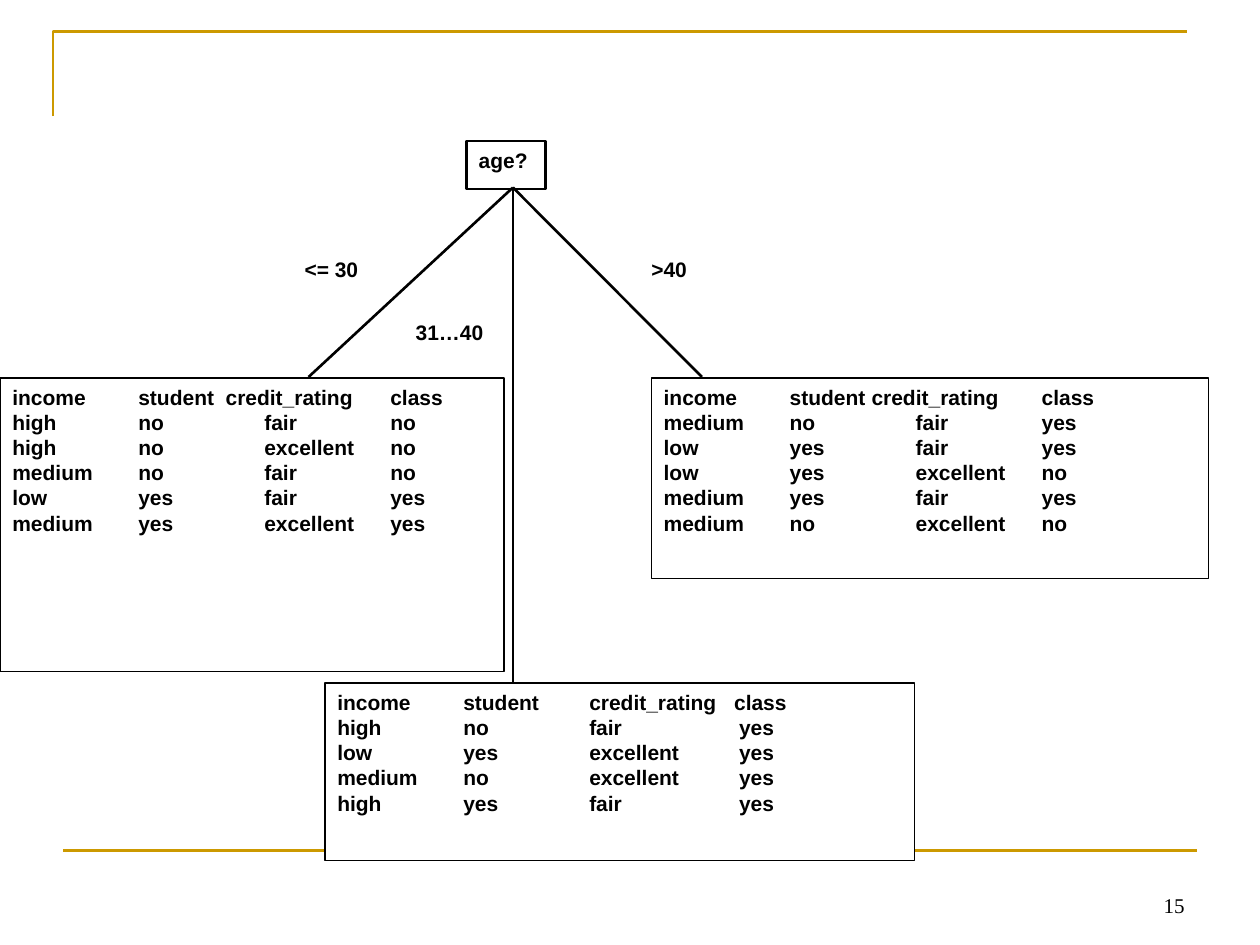
from lxml import etree
from pptx import Presentation
from pptx import util as u
from pptx.dml.color import RGBColor
from pptx.enum import shapes, text
from pptx.oxml.ns import qn

COLORS = {"gold": "CC9900", "ink": "000000", "paper": "FFFFFF"}
COLUMNS = (2.54, 5.08, 7.62)


class TreeSlide:
    font = "Arial"
    size = u.Pt(12)
    row_pitch = u.Pt(14.4)

    def __init__(self, deck):
        self.page = deck.slides.add_slide(deck.slide_layouts[6])

    def color(self, name):
        return RGBColor.from_string(COLORS[name])

    def outline(self, line, color, width):
        line.color.rgb = self.color(color)
        line.width = u.Pt(width)

    def style(self, para, font=None, bold=True):
        for span in para.runs:
            span.font.name = font or self.font
            span.font.size = self.size
            span.font.bold = bold
            span.font.color.rgb = self.color("ink")

    def line(self, start, end, color="ink", width=1.5):
        ends = [u.Cm(value) for value in (*start, *end)]
        rule = self.page.shapes.add_connector(shapes.MSO_CONNECTOR.STRAIGHT, *ends)
        self.outline(rule.line, color, width)
        etree.SubElement(rule._element.spPr, qn("a:effectLst"))

    def corner(self, points):
        start, *others = [(u.Cm(x), u.Cm(y)) for x, y in points]
        builder = self.page.shapes.build_freeform(*start)
        builder.add_line_segments(others, close=False)
        frame = builder.convert_to_shape()
        frame.shadow.inherit = False
        frame.fill.background()
        self.outline(frame.line, "gold", 1.5)

    def box(self, place, words, width=None):
        box = self.page.shapes.add_shape(
            shapes.MSO_SHAPE.RECTANGLE, *[u.Cm(value) for value in place])
        box.shadow.inherit = False
        box.fill.solid()
        box.fill.fore_color.rgb = self.color("paper")
        if width:
            self.outline(box.line, "ink", width)
        else:
            box.line.fill.background()
        frame = box.text_frame
        frame.word_wrap = True
        frame.vertical_anchor = text.MSO_ANCHOR.TOP
        frame.text = words
        for para in frame.paragraphs:
            para.alignment = text.PP_ALIGN.LEFT
            self.style(para)
        return box

    def records(self, place, rows, header_stops, row_stops=COLUMNS):
        words = "\n".join("\t".join(row.split()) for row in rows)
        box = self.box(place, words, 0.75)
        for index, para in enumerate(box.text_frame.paragraphs):
            para.line_spacing = self.row_pitch
            tabs = etree.SubElement(para._p.get_or_add_pPr(), qn("a:tabLst"))
            for stop in row_stops if index else header_stops:
                etree.SubElement(tabs, qn("a:tab"), pos=str(u.Cm(stop)), algn="l")

    def number(self, place, words):
        box = self.page.shapes.add_textbox(*[u.Cm(value) for value in place])
        frame = box.text_frame
        frame.word_wrap = True
        frame.vertical_anchor = text.MSO_ANCHOR.BOTTOM
        frame.text = words
        para = frame.paragraphs[0]
        para.alignment = text.PP_ALIGN.RIGHT
        self.style(para, "Times New Roman", False)


def main():
    deck = Presentation()
    deck.slide_width, deck.slide_height = u.Cm(25.4), u.Cm(19.05)
    slide = TreeSlide(deck)

    slide.corner([(1.07, 2.34), (1.07, 0.64), (23.93, 0.64)])
    slide.line((1.27, 17.15), (24.13, 17.15), "gold")

    slide.box((9.4, 2.84, 1.6, 0.97), "age?", 1.5)
    root = (10.34, 3.78)
    for branch_end in ((10.34, 11.1), (6.22, 7.6), (14.15, 7.6)):
        slide.line(root, branch_end)
    for left, top, label in ((5.89, 5.05, "<= 30"), (12.88, 5.05, ">40"),
                             (8.13, 6.32, "31…40")):
        slide.box((left, top, 1.9, 0.97), label)

    header = "income student credit_rating class"
    slide.records((0, 7.62, 10.16, 5.92), [
        header,
        "high no fair no",
        "high no excellent no",
        "medium no fair no",
        "low yes fair yes",
        "medium yes excellent yes",
    ], (2.54, 4.3, 7.62))
    slide.records((6.55, 13.77, 11.89, 3.58), [
        header,
        "high no fair yes",
        "low yes excellent yes",
        "medium no excellent yes",
        "high yes fair yes",
    ], (2.54, 5.08, 8), (2.54, 5.08, 8.1))
    slide.records((13.13, 7.62, 11.23, 4.04), [
        header,
        "medium no fair yes",
        "low yes fair yes",
        "low yes excellent no",
        "medium yes fair yes",
        "medium no excellent no",
    ], (2.54, 4.19, 7.62))

    slide.line((10.34, 11), (10.34, 13.77), width=0.75)
    slide.number((18.21, 17.35, 5.92, 1.27), "15")
    deck.save("out.pptx")


if __name__ == "__main__":
    main()
